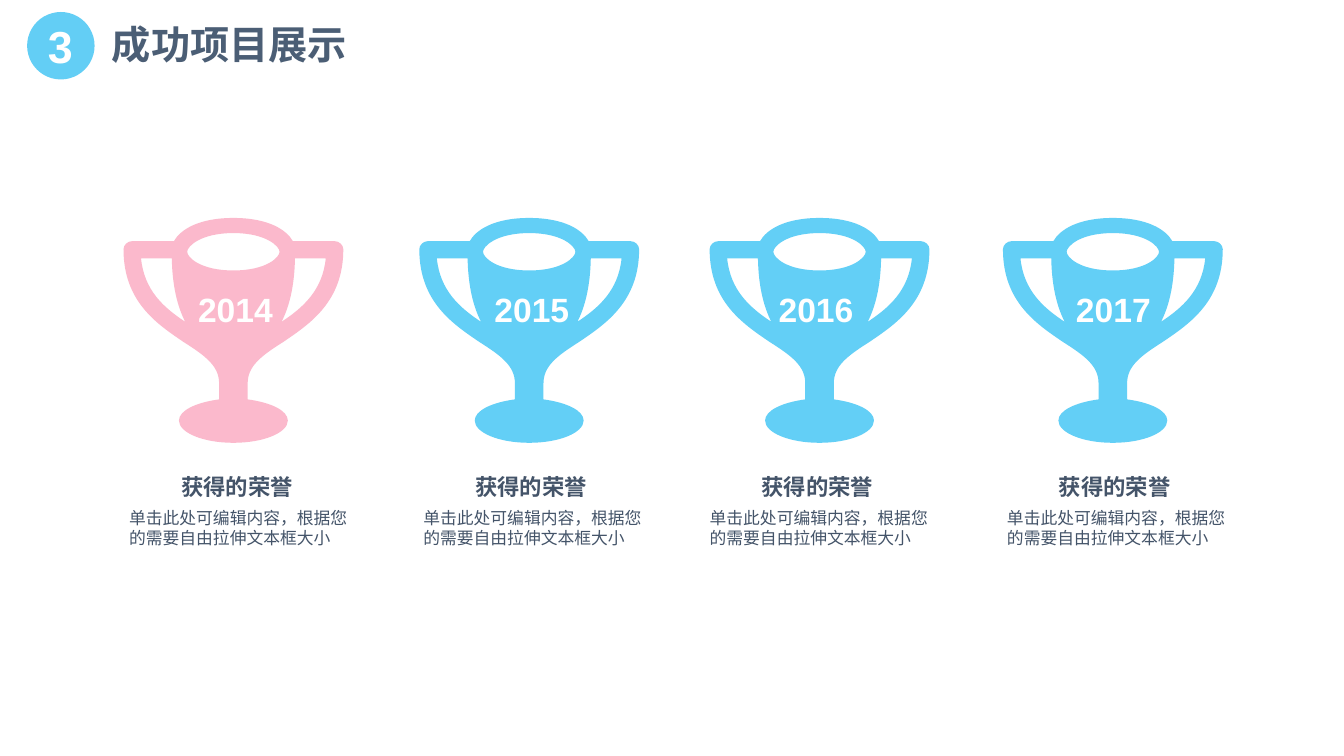
from lxml import etree
from pptx import Presentation
from pptx.dml.color import RGBColor
from pptx.enum import shapes, text
from pptx.oxml import ns
from pptx.util import Pt

SKY = RGBColor(0x63, 0xCF, 0xF6)
PINK = RGBColor(0xFB, 0xB9, 0xCC)
CYAN = RGBColor(0x00, 0xB0, 0xF0)
SLATE = RGBColor(0x44, 0x54, 0x69)
STEEL = RGBColor(0x4B, 0x5E, 0x75)
WHITE = RGBColor(0xFF, 0xFF, 0xFF)

TITLE = "成功项目展示"
HEAD = "获得的荣誉"
BODY = "单击此处可编辑内容，根据您的需要自由拉伸文本框大小"
# year, colour, centre of cup, left of year, left of caption
AWARDS = [
    ("2014", PINK, 166.7, 132.5, 92.2),
    ("2015", SKY, 378, 344.2, 302.4),
    ("2016", SKY, 585.4, 547.2, 506.9),
    ("2017", SKY, 794.9, 759.6, 719.3),
]
CUP_TOP = 155.7

# Right half of the cup, measured from its top centre: a start point, then
# lines (one point) and Bezier curves (two controls and an end point).
OUTER = [[(0, 0)], [(25.2, 0), (38, 8.6), (42.5, 16.6)], [(72.4, 16.6)],
         [(75.6, 16.6), (78.5, 19.4), (78.5, 22.3)],
         [(78.5, 59.8), (54.7, 75.6), (35.6, 88.6)],
         [(19.8, 98.6), (10.2, 105.8), (10.2, 118.1)], [(10.2, 129.6)],
         [(26.6, 131.8), (38.9, 137.5), (38.9, 144.7)],
         [(38.9, 153.4), (21.6, 160.6), (0, 160.6)]]
MOUTH = [[(0, 10.8)], [(23.8, 10.8), (33, 20.5), (33, 24.2)],
         [(33, 28), (23.8, 37.5), (0, 37.5)]]
HANDLE = [[(34.4, 74.2)], [(39.6, 64), (43.6, 49.7), (44, 28.8)],
          [(66, 28.8)], [(63.7, 51.8), (49.7, 64.1), (34.4, 74.2)]]
GRID = 100  # drawing units to the point


def flip(pts):
    return [(-x, y) for x, y in pts]


def whole(half):
    """Join a half outline to its mirror image."""
    pts = sum(half, [])
    back = iter(flip(pts[-2::-1]))
    return half + [[next(back) for _ in seg] for seg in half[:0:-1]]


def paint(shape, color):
    shape.fill.solid()
    shape.fill.fore_color.rgb = color
    shape.line.fill.background()
    shape.shadow.inherit = False


def bend(shape, segs):
    """Merge the three lines of each curve into one Bezier element."""
    lines = iter(list(shape._element.iter(ns.qn("a:lnTo"))))
    for seg in segs:
        group = [next(lines) for _ in seg]
        if len(group) == 3:
            curve = etree.Element(ns.qn("a:cubicBezTo"))
            group[0].addprevious(curve)
            for line in group:
                curve.append(line[0])
                line.getparent().remove(line)


def draw_cup(slide, mid, color):
    loops = [whole(OUTER), whole(MOUTH), HANDLE, [flip(s) for s in HANDLE]]
    pen = None
    for loop in loops:
        (x, y), *rest = [(px * GRID, py * GRID) for px, py in sum(loop, [])]
        if pen is None:
            pen = slide.shapes.build_freeform(x, y, scale=Pt(1) / GRID)
        else:
            pen.move_to(x, y)
        pen.add_line_segments(rest, close=True)
    cup = pen.convert_to_shape(Pt(mid), Pt(CUP_TOP))
    bend(cup, [seg for loop in loops for seg in loop[1:]])
    paint(cup, color)


def write(slide, words, place, size, color, bold=True, center=True,
          inset=(0, 0), shape=None):
    left, top, width, height = map(Pt, place)
    if shape is None:
        shape = slide.shapes.add_textbox(left, top, width, height)
    else:
        shape.left, shape.top = left, top
        shape.width, shape.height = width, height
    frame = shape.text_frame
    frame.word_wrap = True
    frame.auto_size = text.MSO_AUTO_SIZE.NONE
    frame.vertical_anchor = text.MSO_ANCHOR.TOP
    frame.margin_left = frame.margin_right = Pt(inset[0])
    frame.margin_top = frame.margin_bottom = Pt(inset[1])
    para = frame.paragraphs[0]
    para.alignment = text.PP_ALIGN.CENTER if center else text.PP_ALIGN.LEFT
    run = para.add_run()
    run.text = words
    font = run.font
    font.name, font.size, font.bold = "Arial", Pt(size), bold
    font.color.rgb = color


def main():
    deck = Presentation()
    deck.slide_width, deck.slide_height = Pt(960), Pt(540)
    slide = deck.slides.add_slide(deck.slide_layouts[5])

    for year, color, mid, year_x, cap_x in AWARDS:
        draw_cup(slide, mid, color)
        write(slide, year, (year_x, 206.6, 71.3, 28.8), 24, WHITE)
        write(slide, HEAD, (cap_x, 337.7, 154.1, 19.4), 16, SLATE)
        write(slide, BODY, (cap_x, 362.9, 159.1, 28.8), 12, SLATE,
              bold=False, center=False)

    badge = slide.shapes.add_shape(shapes.MSO_SHAPE.OVAL, Pt(19.4), Pt(8.6),
                                   Pt(48.2), Pt(48.2))
    paint(badge, CYAN)
    tint = badge._element.spPr.find(ns.qn("a:solidFill"))[0]
    etree.SubElement(tint, ns.qn("a:alpha")).set("val", "61000")
    write(slide, "3", (24.5, 10.1, 37.4, 46.1), 32, WHITE, inset=(7.2, 3.6))
    write(slide, TITLE, (72.7, 10.8, 262.1, 41), 28, STEEL, center=False,
          inset=(7.2, 3.6), shape=slide.shapes.title)
    deck.save("out.pptx")


if __name__ == "__main__":
    main()
